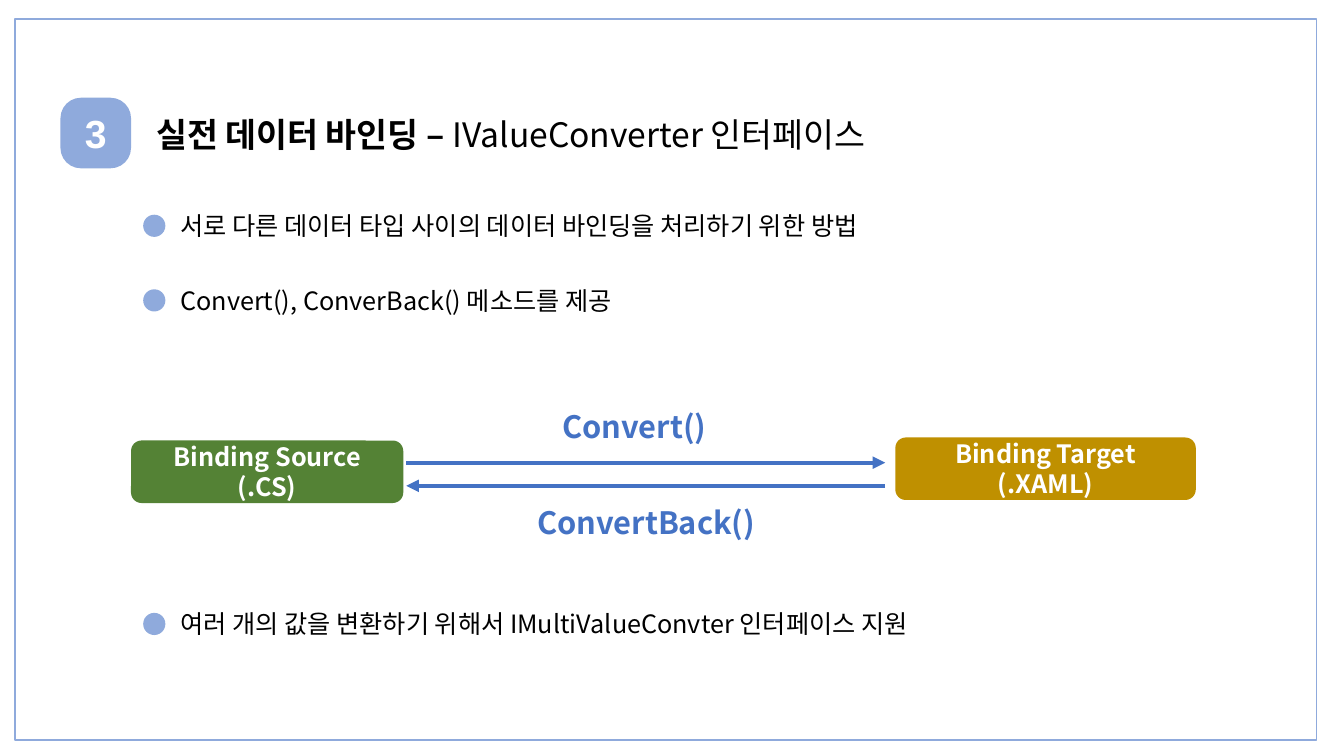
from dataclasses import dataclass

import pptx
import pptx.dml.color
import pptx.enum.shapes
import pptx.enum.text
import pptx.oxml
import pptx.oxml.ns
import pptx.util

SHAPE = pptx.enum.shapes.MSO_SHAPE
ALIGN = pptx.enum.text.PP_ALIGN
CELL = 0.1  # inches per grid column and row


@dataclass(frozen=True)
class Theme:
    body_font: str = "Noto Sans CJK KR"
    number_font: str = "Arial"
    ink: str = "000000"
    paper: str = "FFFFFF"
    accent: str = "8FAADC"
    flow: str = "4472C4"
    source: str = "548235"
    target: str = "BF9000"
    title_size: int = 24
    number_size: int = 28
    body_size: int = 18
    method_size: int = 22


THEME = Theme()


def grid(*cells):
    """Turn counts of grid columns or rows into lengths."""
    return [pptx.util.Inches(count * CELL) for count in cells]


def rgb(code):
    return pptx.dml.color.RGBColor.from_string(code)


def add_drawing_element(parent, tag, **attributes):
    element = pptx.oxml.parse_xml(f"<a:{tag} {pptx.oxml.ns.nsdecls('a')}/>")
    for name, value in attributes.items():
        element.set(name, value)
    parent.append(element)


def write(frame, text, bold=False, size=THEME.body_size, color=THEME.ink,
          font=THEME.body_font, align=ALIGN.LEFT):
    """Append a run to the first paragraph of a text frame."""
    paragraph = frame.paragraphs[0]
    paragraph.alignment = align
    run = paragraph.add_run()
    run.text = text
    run.font.size = pptx.util.Pt(size)
    run.font.bold = bold
    run.font.color.rgb = rgb(color)
    run.font.name = font
    add_drawing_element(run.font._element, "ea", typeface=font)


def add_label(slide, cells, indent=1):
    """Add an empty text box and return its frame."""
    frame = slide.shapes.add_textbox(*grid(*cells)).text_frame
    frame.word_wrap = True
    frame.auto_size = pptx.enum.text.MSO_AUTO_SIZE.SHAPE_TO_FIT_TEXT
    frame.margin_left, = grid(indent)
    return frame


def add_panel(slide, kind, cells, fill=None, line=None, corner=None):
    panel = slide.shapes.add_shape(kind, *grid(*cells))
    panel.shadow.inherit = False
    if fill:
        panel.fill.solid()
        panel.fill.fore_color.rgb = rgb(fill)
    else:
        panel.fill.background()
    if line:
        panel.line.color.rgb = rgb(line)
        panel.line.width = pptx.util.Pt(1)
    else:
        panel.line.fill.background()
    if corner:
        panel.adjustments[0] = corner
    panel.text_frame.vertical_anchor = pptx.enum.text.MSO_ANCHOR.MIDDLE
    return panel


def add_heading(slide, number, topic, subject):
    title = add_label(slide, (14.5, 10.8, 82.9, 5))
    write(title, topic, bold=True, size=THEME.title_size)
    write(title, subject, size=THEME.title_size)
    badge = add_panel(slide, SHAPE.ROUNDED_RECTANGLE, (6, 9.7, 7, 7),
                      fill=THEME.accent, corner=0.29).text_frame
    badge.margin_left = badge.margin_right = 0
    write(badge, number, bold=True, size=THEME.number_size, color=THEME.paper,
          font=THEME.number_font, align=ALIGN.CENTER)


def add_point(slide, row, text):
    write(add_label(slide, (16.3, row, 83.5, 4), indent=1.6), text)
    add_panel(slide, SHAPE.OVAL, (14.2, row + 0.9, 2.2, 2.2), fill=THEME.accent)


def add_endpoint(slide, cells, text, fill):
    endpoint = add_panel(slide, SHAPE.ROUNDED_RECTANGLE, cells, fill=fill)
    write(endpoint.text_frame, text, bold=True, color=THEME.paper,
          align=ALIGN.CENTER)


def add_method(slide, name, label_at, start, end, row):
    """Add an arrow along a row, with the method's name beside it."""
    arrow = slide.shapes.add_connector(
        pptx.enum.shapes.MSO_CONNECTOR.STRAIGHT, *grid(start, row, end, row))
    arrow.line.color.rgb = rgb(THEME.flow)
    arrow.line.width = pptx.util.Pt(3)
    add_drawing_element(arrow.line._get_or_add_ln(), "tailEnd", type="triangle")
    add_drawing_element(arrow._element.spPr, "effectLst")
    write(add_label(slide, (*label_at, 28, 4.7)), name, bold=True,
          size=THEME.method_size, color=THEME.flow)


def main():
    deck = pptx.Presentation()
    deck.slide_width, deck.slide_height = grid(133.3, 75)
    slide = deck.slides.add_slide(deck.slide_layouts[6])

    add_heading(slide, "3", "실전 데이터 바인딩 – ", "IValueConverter 인터페이스")
    add_panel(slide, SHAPE.RECTANGLE, (1.5, 1.9, 129.1, 71.5), line=THEME.accent)

    for row, text in (
        (20.4, "서로 다른 데이터 타입 사이의 데이터 바인딩을 처리하기 위한 방법"),
        (27.8, "Convert(), ConverBack() 메소드를 제공"),
        (59.9, "여러 개의 값을 변환하기 위해서 IMultiValueConvter 인터페이스 지원"),
    ):
        add_point(slide, row, text)

    add_endpoint(slide, (13, 43.7, 27, 6.2), "Binding Source (.CS)", THEME.source)
    add_endpoint(slide, (88.8, 43.4, 29.8, 6.2), "Binding Target (.XAML)", THEME.target)

    source_edge, target_edge = 40.3, 87.8
    add_method(slide, "Convert()", (54.8, 40), source_edge, target_edge, 45.9)
    add_method(slide, "ConvertBack()", (52.3, 49.5), target_edge, source_edge, 48.2)

    deck.save("out.pptx")


if __name__ == "__main__":
    main()
